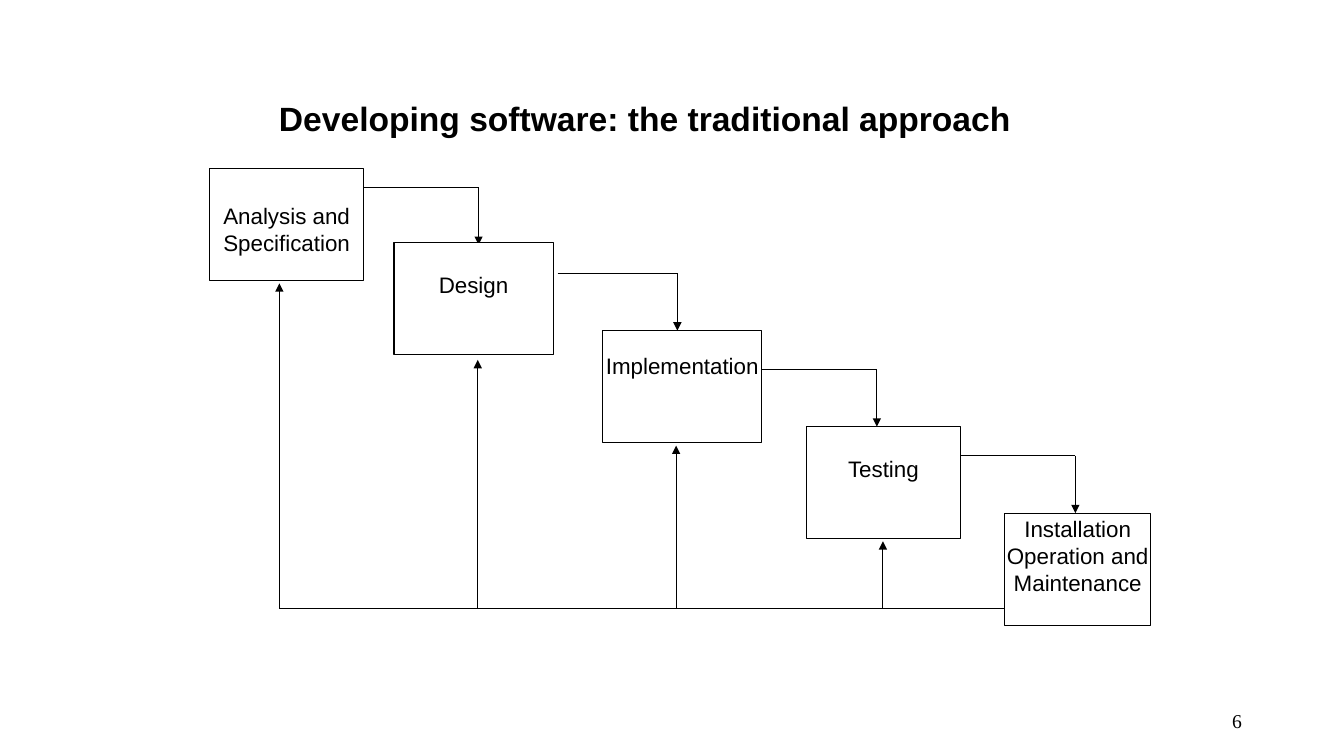
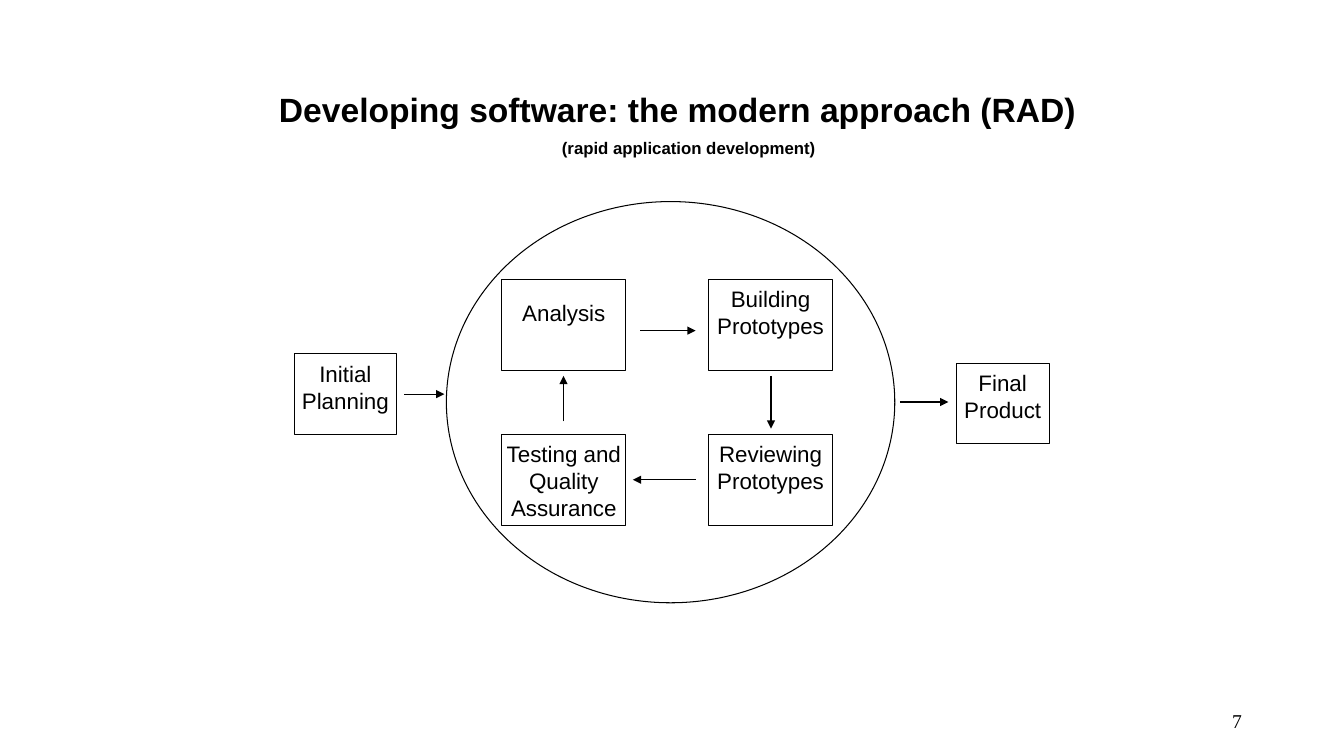
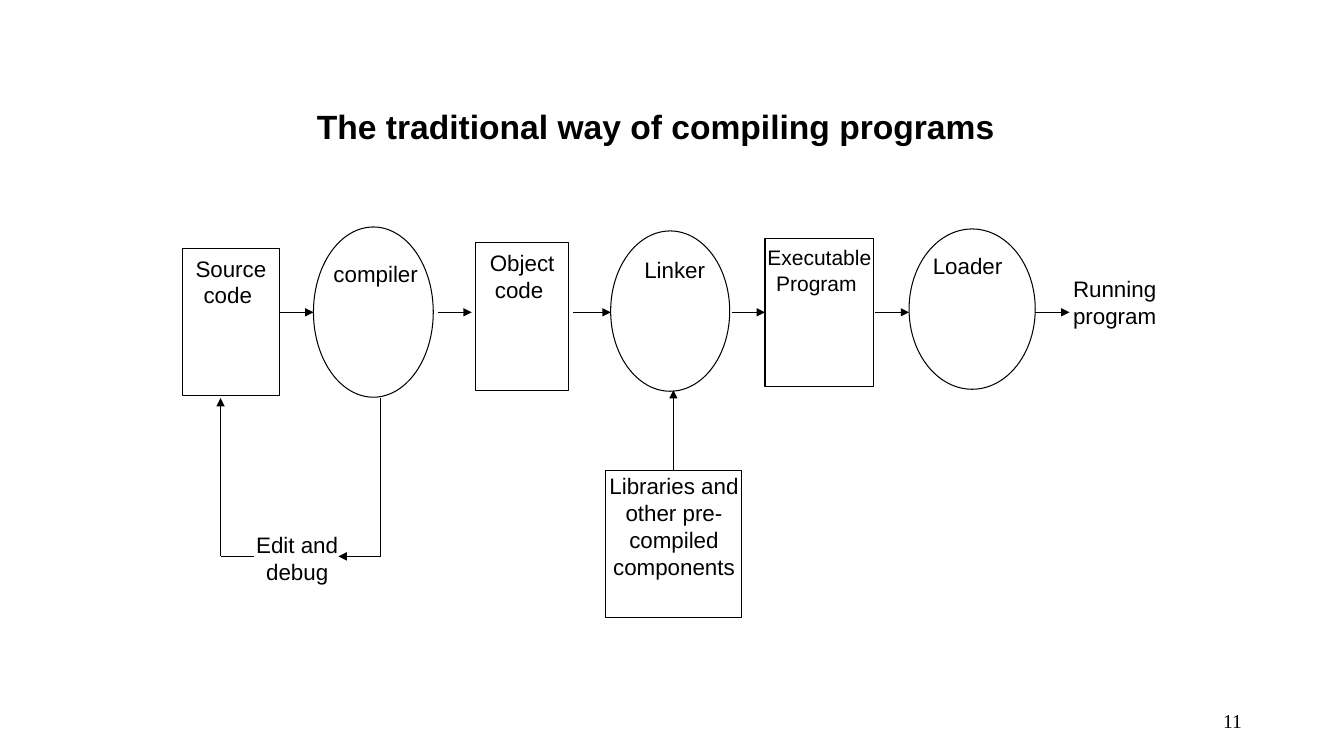
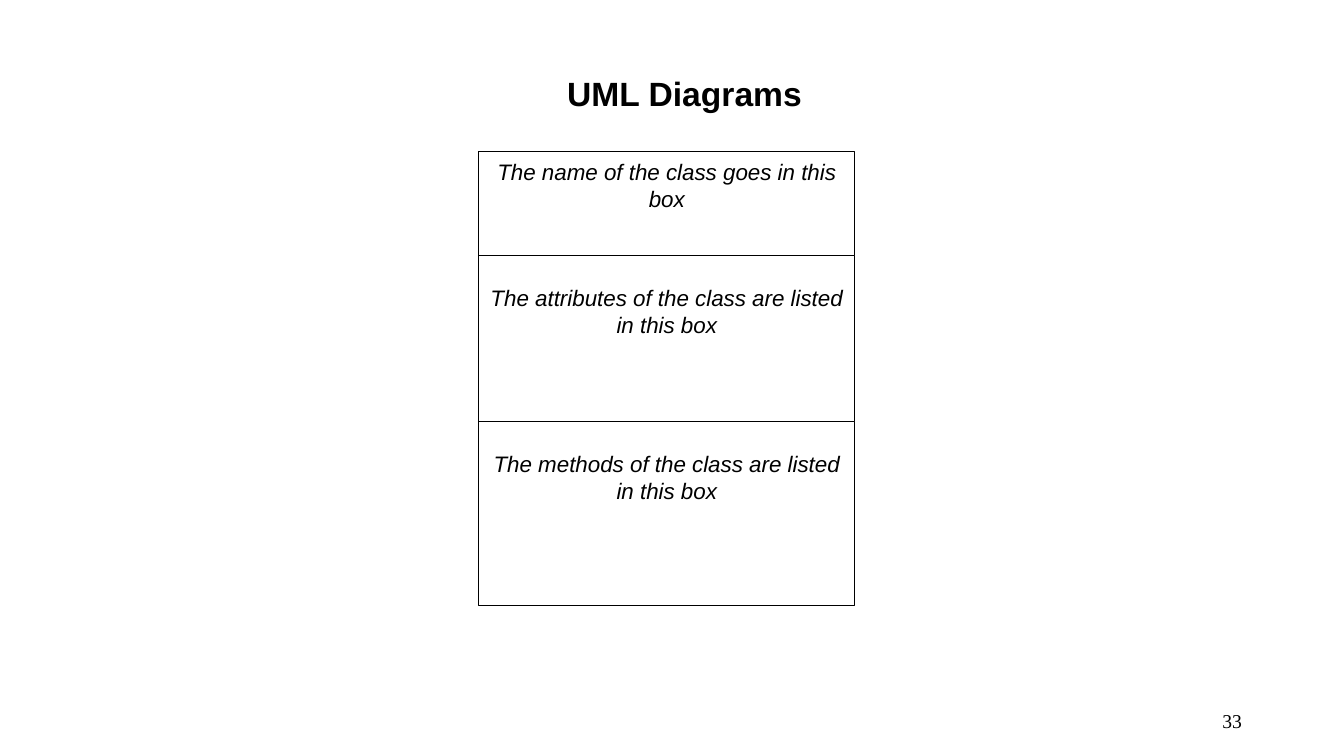
from pptx import Presentation, util as u
from pptx.dml.color import RGBColor
from pptx.enum import shapes, text
from pptx.oxml.ns import qn
from lxml import etree

INK, PAPER = "000000", "FFFFFF"
SANS, SERIF = "Arial", "Times New Roman"
LABEL = {"name": SANS, "size": u.Pt(16)}
HEADING = {"name": SANS, "size": u.Pt(24), "bold": True}
SUBHEADING = {**HEADING, "size": u.Pt(12)}
NUMBER = {"name": SERIF, "size": u.Pt(14)}
LEFT, CENTER, RIGHT = text.PP_ALIGN.LEFT, text.PP_ALIGN.CENTER, text.PP_ALIGN.RIGHT
RECT, OVAL = shapes.MSO_SHAPE.RECTANGLE, shapes.MSO_SHAPE.OVAL


def color(code):
    return RGBColor.from_string(code)


def cm(values):
    return [u.Cm(value) for value in values]


def apply(target, values):
    for name, value in values.items():
        setattr(target, name, value)


def write(para, words, style, align=CENTER):
    para.alignment = align
    span = para.add_run()
    span.text = words
    apply(span.font, style)
    span.font.color.rgb = color(INK)


def frame_text(shape, margins, anchor=text.MSO_ANCHOR.TOP, wrap=True):
    """Set the margins (left, top, right, bottom in cm), anchor and wrapping of a shape's text."""
    frame = shape.text_frame
    sides = ("margin_left", "margin_top", "margin_right", "margin_bottom")
    apply(frame, dict(zip(sides, cm(margins))))
    apply(frame, {"word_wrap": wrap, "vertical_anchor": anchor,
                  "auto_size": text.MSO_AUTO_SIZE.NONE})
    return frame


def add_page(deck, title, place, number, align=CENTER):
    page = deck.slides.add_slide(deck.slide_layouts[5])
    heading = page.shapes.title
    apply(heading, dict(zip(("left", "top", "width", "height"), cm(place))))
    write(frame_text(heading, (0.25, 0.13, 0.25, 0.13)).paragraphs[0], title, HEADING, align)
    footer = page.shapes.add_textbox(*cm((23.93, 17.65, 7.62, 1.02)))
    frame = frame_text(footer, (0.25, 0.13, 0.25, 0.13), text.MSO_ANCHOR.MIDDLE)
    write(frame.paragraphs[0], str(number), NUMBER, RIGHT)
    return page


def add_node(page, words, place, drop=0.15, kind=RECT, sides=(0, 0), style=LABEL):
    """Draw an outlined shape whose label starts `drop` cm below the top of its text area."""
    node = page.shapes.add_shape(kind, *cm(place))
    node.shadow.inherit = False
    node.fill.solid()
    node.fill.fore_color.rgb = color(PAPER)
    node.line.color.rgb = color(INK)
    node.line.width = u.Pt(0.75)
    if words:
        frame = frame_text(node, (sides[0], drop, sides[1], 0), wrap=kind == RECT)
        write(frame.paragraphs[0], words, style)


def add_label(page, words, place, drop):
    label = page.shapes.add_textbox(*cm(place))
    write(frame_text(label, (0.25, drop, 0.25, 0)).paragraphs[0], words, LABEL)


def add_route(page, *points, arrow=True):
    """Join the points with straight lines, with an arrowhead at the last point."""
    for start, end in zip(points, points[1:]):
        line = page.shapes.add_connector(shapes.MSO_CONNECTOR.STRAIGHT, *cm(start + end))
        line.line.color.rgb = color(INK)
        line.line.width = u.Pt(0.75)
        properties = line._element.spPr
        if arrow and end == points[-1]:
            etree.SubElement(properties.find(qn("a:ln")), qn("a:tailEnd"), type="triangle")
        etree.SubElement(properties, qn("a:effectLst"))


def traditional_approach(deck):
    page = add_page(deck, "Developing software: the traditional approach",
                    (6.78, 2.34, 19.48, 1.27), 6, LEFT)
    for x, y in ((9.04, 4.72), (14.05, 6.88), (19.08, 9.3), (24.08, 11.48)):
        add_route(page, (x, y), (x + 3.02, y), (x + 3.02, y + 1.45))
    base = 15.34
    add_route(page, (25.3, base), (7.04, base), (7.04, 7.14))
    for x, top in ((12.04, 9.07), (17.04, 11.23), (22.25, 13.64)):
        add_route(page, (x, base), (x, top))
    stages = (
        ("Analysis and Specification", 5.28, 4.24, 3.89, 0.86),
        ("Design", 9.93, 6.1, 4.01, 0.73),
        ("Implementation", 15.19, 8.33, 4.01, 0.55),
        ("Testing", 20.32, 10.74, 3.89, 0.73),
        ("Installation Operation and Maintenance", 25.32, 12.93, 3.68, 0.05),
    )
    for words, x, y, width, drop in stages:
        add_node(page, words, (x, y, width, 2.83), drop)


def modern_approach(deck):
    page = add_page(deck, "Developing software: the modern approach (RAD)",
                    (6.78, 2.11, 21.16, 2.06), 7, LEFT)
    para = page.shapes.title.text_frame.add_paragraph()
    para.space_before = u.Pt(6)
    write(para, "(rapid application development)", SUBHEADING)
    add_node(page, "", (11.25, 5.08, 11.3, 10.11), kind=OVAL)
    add_node(page, "Initial Planning", (7.42, 8.92, 2.57, 2.02))
    add_node(page, "Final Product", (24.1, 9.16, 2.34, 2.02))
    cycle = (("Analysis", "Building Prototypes"),
             ("Testing and Quality Assurance", "Reviewing Prototypes"))
    for row, names in enumerate(cycle):
        for column, words in enumerate(names):
            place = (12.65 + 5.21 * column, 7.04 + 3.91 * row, 3.12, 2.29)
            add_node(page, words, place, 0.5 if words == "Analysis" else 0.15)
    arrows = (
        ((16.13, 8.33), (17.53, 8.33)), ((19.43, 9.47), (19.43, 10.8)),
        ((17.53, 12.09), (15.95, 12.09)), ((14.2, 10.62), (14.2, 9.47)),
        ((10.19, 9.93), (11.2, 9.93)), ((22.68, 10.13), (23.9, 10.13)),
    )
    for start, end in arrows:
        add_route(page, start, end)


def compiling(deck):
    page = add_page(deck, "The traditional way of compiling programs",
                    (4.88, 2.54, 23.29, 1.27), 11)
    add_node(page, "Source code ", (4.6, 6.27, 2.44, 3.71))
    add_node(page, "Object code ", (11.99, 6.12, 2.34, 3.71))
    add_node(page, "Executable Program ", (19.28, 6.02, 2.74, 3.71),
             style={**LABEL, "size": u.Pt(15)})
    add_node(page, "Libraries and other pre-compiled components",
             (15.27, 11.86, 3.43, 3.71), 0.05)
    add_node(page, "compiler", (7.9, 5.72, 3.02, 4.29), 0.2, OVAL, (0.12, 0))
    add_node(page, "Linker", (15.39, 5.82, 3, 4.04), 0.05, OVAL, (0.23, 0))
    add_node(page, "Loader", (22.91, 5.77, 3.18, 4.04), 0, OVAL, (0, 0.23))
    add_label(page, "Running program", (26.54, 6.43, 3.1, 3.07), 0.5)
    add_label(page, "Edit and debug", (5.79, 13.21, 3.4, 2.67), 0.18)
    flow = 7.87
    for start, end in ((7.04, 7.9), (11.05, 11.89), (14.45, 15.39),
                       (18.44, 19.28), (22.05, 22.91), (26.09, 26.95)):
        add_route(page, (start, flow), (end, flow))
    add_route(page, (16.97, 11.86), (16.97, 9.83))
    add_route(page, (9.6, 10.03), (9.6, 14.02), (8.53, 14.02))
    add_route(page, (6.4, 14.02), (5.56, 14.02), (5.56, 10.03))


def uml_diagrams(deck):
    page = add_page(deck, "UML Diagrams", (8.26, 1.7, 17.98, 1.27), 33)
    top = 3.81
    sections = (
        ("The name of the class goes in this box", 2.62, 0.18),
        ("The attributes of the class are listed in this box", 4.19, 0.73),
        ("The methods of the class are listed in this box", 4.65, 0.73),
    )
    for words, height, drop in sections:
        add_node(page, words, (12.07, top, 9.47, height), drop, sides=(0.25, 0.25),
                 style={**LABEL, "italic": True})
        top += height


def main():
    deck = Presentation()
    deck.slide_width, deck.slide_height = cm((33.87, 19.05))
    for build in (traditional_approach, modern_approach, compiling, uml_diagrams):
        build(deck)
    deck.save("out.pptx")


main()
